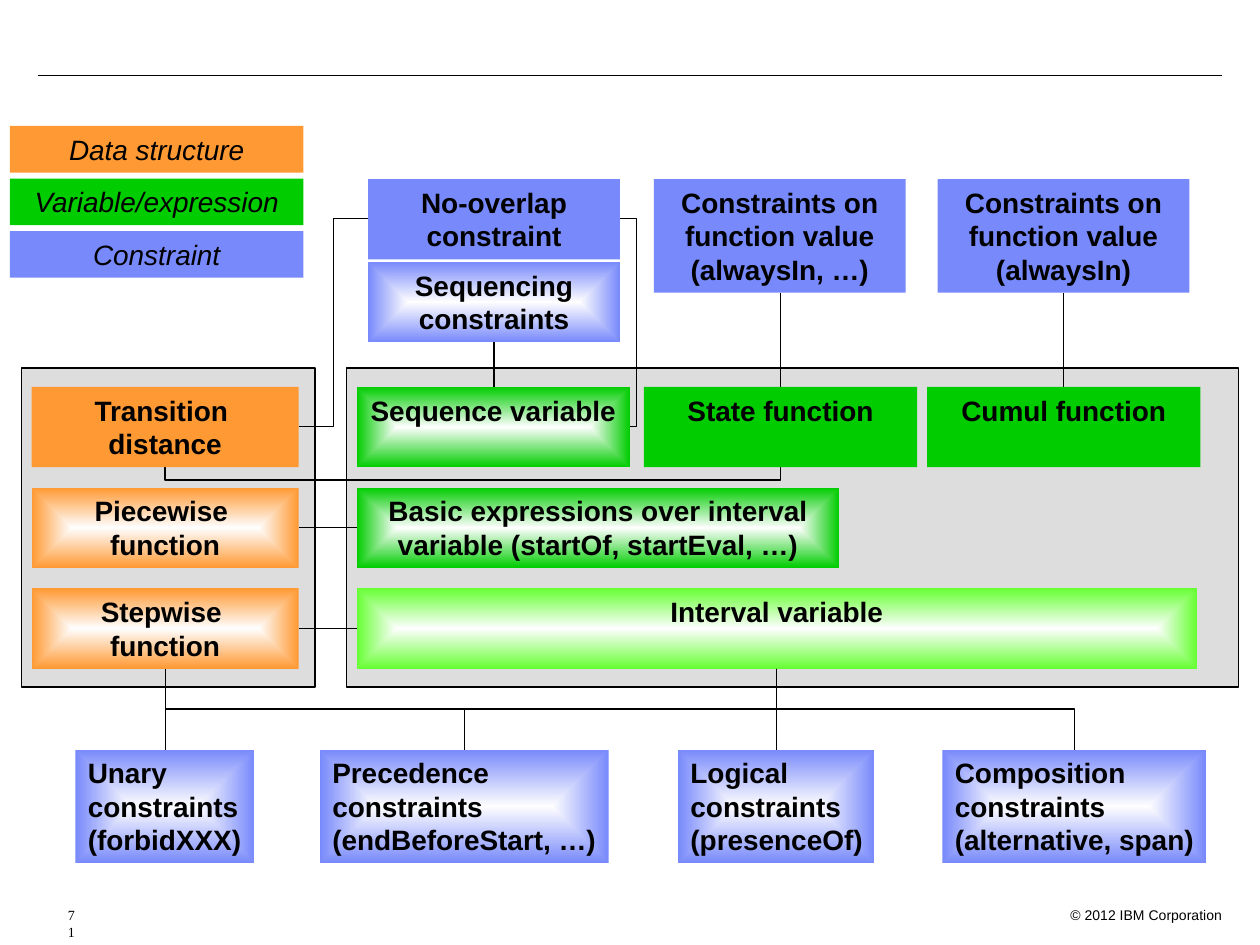
from dataclasses import dataclass

from pptx import Presentation
from pptx import util as u
from pptx.dml import color
from pptx.enum import shapes, text
from pptx.oxml import ns, xmlchemy
from lxml import etree


@dataclass(frozen=True)
class Theme:
    ink: str = "000000"
    glow: str = "FEFEFE"
    grey: str = "DDDDDD"
    orange: str = "FF9933"
    green: str = "00CC00"
    lime: str = "66FF33"
    blue: str = "7889FB"
    sans: str = "Arial"
    serif: str = "Times New Roman"
    body: int = 16
    small: int = 8
    rule: float = 0.75


def rgb(code):
    return color.RGBColor.from_string(code)


def write(frame, words, size, font, ink, bold=False, slant=False,
          align=text.PP_ALIGN.CENTER, wrap=True, indent=0):
    frame.word_wrap = wrap
    frame.vertical_anchor = text.MSO_ANCHOR.TOP
    for i, line in enumerate(words.split("\n")):
        para = frame.add_paragraph() if i else frame.paragraphs[0]
        para.alignment = align
        if indent:
            para._p.get_or_add_pPr().set("marL", str(u.Cm(indent)))
        run = para.add_run()
        run.text = line
        run.font.size = u.Pt(size)
        run.font.name = font
        run.font.bold = bold
        run.font.italic = slant
        run.font.color.rgb = rgb(ink)


class Deck:
    def __init__(self, theme):
        self.theme = theme
        self.show = Presentation()
        self.show.slide_width = u.Cm(25.4)
        self.show.slide_height = u.Cm(19.05)
        self.slide = self.show.slides.add_slide(self.show.slide_layouts[6])

    def rect(self, x, y, w, h, fill):
        box = self.slide.shapes.add_shape(
            shapes.MSO_SHAPE.RECTANGLE, u.Cm(x), u.Cm(y), u.Cm(w), u.Cm(h))
        box.shadow.inherit = False
        box.fill.solid()
        box.fill.fore_color.rgb = rgb(fill)
        box.line.fill.background()
        return box

    def panel(self, x, y, w, h):
        box = self.rect(x, y, w, h, self.theme.grey)
        box.line.color.rgb = rgb(self.theme.ink)
        box.line.width = u.Pt(self.theme.rule)

    def box(self, words, x, y, w, h, fill, glow=False, **form):
        box = self.rect(x, y, w, h, fill)
        if glow:
            self.shade(box, fill)
        form = {"bold": True, **form}
        write(box.text_frame, words, self.theme.body, self.theme.sans,
              self.theme.ink, **form)

    def shade(self, box, fill):
        box.fill.gradient()
        for stop, code in zip(box.fill.gradient_stops, (self.theme.glow, fill)):
            stop.color.rgb = rgb(code)
        grad = box._element.spPr.find(ns.qn("a:gradFill"))
        grad.remove(grad.find(ns.qn("a:lin")))
        path = etree.SubElement(grad, ns.qn("a:path"), path="rect")
        half = dict.fromkeys("ltrb", "50000")
        etree.SubElement(path, ns.qn("a:fillToRect"), **half)

    def note(self, words, x, y, w, h, font, **form):
        box = self.slide.shapes.add_textbox(u.Cm(x), u.Cm(y), u.Cm(w), u.Cm(h))
        write(box.text_frame, words, self.theme.small, font,
              self.theme.ink, **form)

    def line(self, x1, y1, x2, y2, kind=shapes.MSO_CONNECTOR.STRAIGHT):
        link = self.slide.shapes.add_connector(
            kind, u.Cm(x1), u.Cm(y1), u.Cm(x2), u.Cm(y2))
        link.line.color.rgb = rgb(self.theme.ink)
        link.line.width = u.Pt(self.theme.rule)
        etree.SubElement(link._element.spPr, ns.qn("a:effectLst"))
        return link

    def elbow(self, x1, y1, x2, y2, bend=0.5):
        link = self.line(x1, y1, x2, y2, shapes.MSO_CONNECTOR.ELBOW)
        geom = link._element.spPr.find(ns.qn("a:prstGeom"))
        points = geom.find(ns.qn("a:avLst"))
        if points is None:
            points = etree.SubElement(geom, ns.qn("a:avLst"))
        etree.SubElement(points, ns.qn("a:gd"), name="adj1",
                         fmla=f"val {round(bend * 100000)}")
        return link

    def drop(self, x1, y1, x2, y2, bend=0.5):
        side = 1 if x1 > x2 else -1
        midx, midy = (x1 + x2) / 2, (y1 + y2) / 2
        long, wide = side * (y2 - y1) / 2, abs(x2 - x1) / 2
        link = self.elbow(midx - long, midy - wide,
                          midx + long, midy + wide, bend)
        frame = link._element.spPr.find(ns.qn("a:xfrm"))
        frame.set("rot", str((90 if side > 0 else 270) * 60000))

    def save(self):
        self.show.save("out.pptx")


def main():
    t = Theme()
    deck = Deck(t)
    left, right = text.PP_ALIGN.LEFT, text.PP_ALIGN.RIGHT

    deck.line(0.76, 1.52, 24.64, 1.52)
    deck.note("© 2012 IBM Corporation", 21.08, 18.16, 3.81, 0.51, t.sans,
              align=right)
    deck.note("71", 0.51, 18.16, 1.02, 0.51, t.serif, align=left, indent=0.61)

    for x, w in ((0.43, 5.92), (6.99, 17.98)):
        deck.panel(x, 7.42, w, 6.43)

    rows = [7.8 + 2.03 * i for i in range(3)]
    high, tall = 1.62, 2.29
    lane, main_x = 0.64, 7.19
    mid, hub = 3.33, 15.66
    state, cumul = 15.73, 21.44
    foot, base = rows[2] + high, 15.11

    deck.line(mid, foot, mid, base)
    for y in rows[1:]:
        deck.line(lane + 5.38, y + high / 2, main_x, y + high / 2)
    for x in (state, cumul):
        deck.line(x, rows[0], x, 3.61 + tall)
    deck.line(9.96, rows[0], 9.96, 5.28 + high)
    deck.elbow(lane + 5.38, 8.6, 7.42, 4.4)
    deck.elbow(12.5, 4.4, 12.7, 8.6, 1.65)
    deck.drop(mid, 9.4, state, 9.41, 28)

    for words, y, glow in (("Transition \ndistance", rows[0], False),
                           ("Piecewise \nfunction", rows[1], True),
                           ("Stepwise \nfunction", rows[2], True)):
        deck.box(words, lane, y, 5.38, high, t.orange, glow)

    for words, x, y, w, fill, glow in (
            ("Sequence variable", main_x, rows[0], 5.51, t.green, True),
            ("State function", 12.98, rows[0], 5.51, t.green, False),
            ("Cumul function", 18.69, rows[0], 5.51, t.green, False),
            ("Basic expressions over interval variable (startOf, startEval, …)",
             main_x, rows[1], 9.73, t.green, True),
            ("Interval variable", main_x, rows[2], 16.94, t.lime, True)):
        deck.box(words, x, y, w, high, fill, glow)

    for words, x, y, h, glow in (
            ("No-overlap\nconstraint", 7.42, 3.61, high, False),
            ("Sequencing\nconstraints", 7.42, 5.28, high, True),
            ("Constraints on function value\n(alwaysIn, …)",
             13.18, 3.61, tall, False),
            ("Constraints on function value\n(alwaysIn)",
             18.9, 3.61, tall, False)):
        deck.box(words, x, y, 5.08, h, t.blue, glow)

    for words, x, w in (
            ("Unary\nconstraints\n(forbidXXX)", 1.52, 3.61),
            ("Precedence\nconstraints\n(endBeforeStart, …)", 6.45, 5.82),
            ("Logical\nconstraints\n(presenceOf)", 13.67, 3.96),
            ("Composition\nconstraints\n(alternative, span)", 19, 5.31)):
        deck.box(words, x, base, w, tall, t.blue, True, align=left, wrap=False)

    deck.line(hub, foot, hub, base)
    for x in (mid, 9.36, 21.66):
        deck.drop(hub, foot, x, base)

    for i, (words, fill) in enumerate((("Data structure", t.orange),
                                       ("Variable/expression", t.green),
                                       ("Constraint", t.blue))):
        deck.box(words, 0.2, 2.54 + 1.06 * i, 5.92, 0.94, fill,
                 bold=False, slant=True)

    deck.save()


if __name__ == "__main__":
    main()
